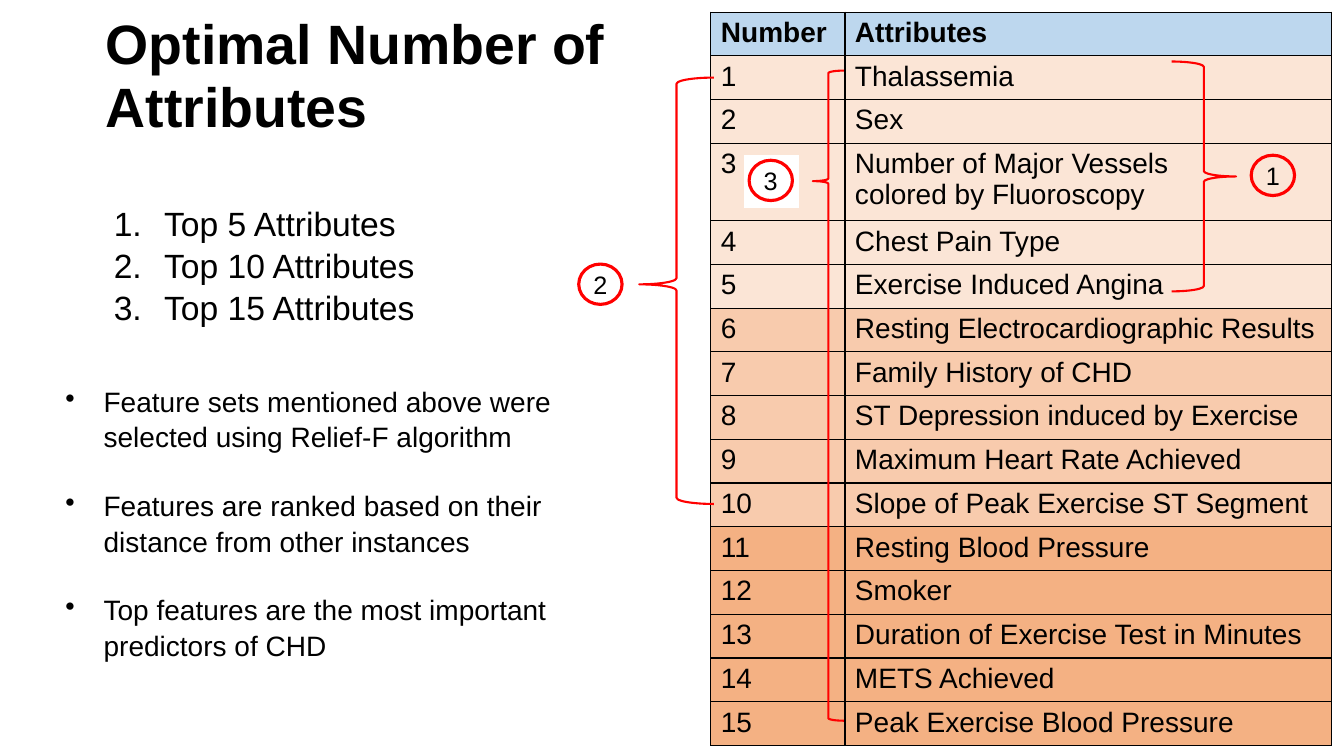
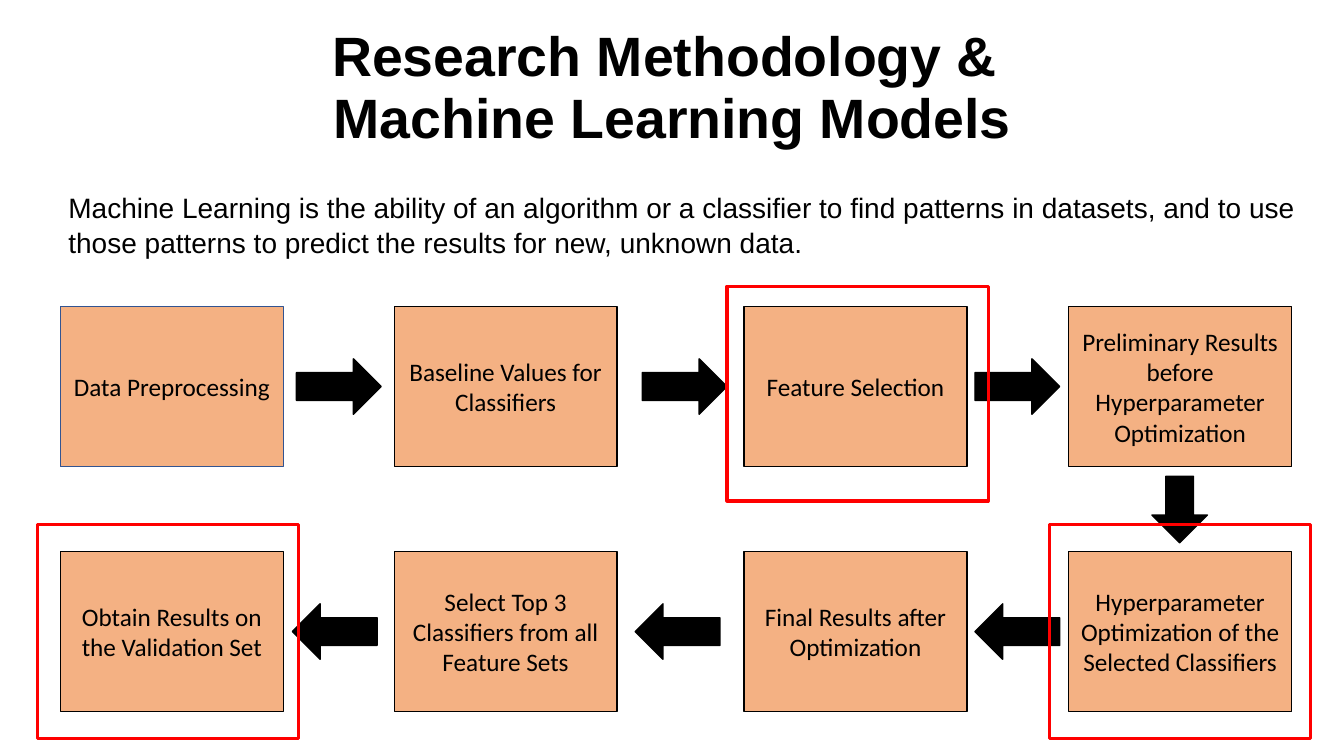
from dataclasses import dataclass
from typing import NamedTuple

from pptx import Presentation
from pptx.dml.color import RGBColor
from pptx.enum import shapes, text
from pptx.oxml import parse_xml
from pptx.oxml.ns import nsdecls
from pptx import util as u


@dataclass(frozen=True)
class Theme:
    black: str = "000000"
    white: str = "FFFFFF"
    red: str = "FF0000"
    blue: str = "325491"
    header: str = "BDD7EE"
    light: str = "FBE5D6"
    middle: str = "F8CBAD"
    strong: str = "F4B183"
    font: str = "Arial"
    flow_font: str = "Calibri"
    title_size: float = 39.6
    list_size: float = 24
    body_size: float = 20
    label_size: float = 18
    title_spacing: float = 0.94
    body_spacing: float = 1.05
    thin: float = 1
    brace: float = 1.5
    thick: float = 2.25


class Box(NamedTuple):
    left: float
    top: float
    width: float
    height: float

    def inner(self, left, top, width, height):
        return Box(self.left + left, self.top + top, width, height)

    def lengths(self):
        return [u.Inches(value) for value in self]


THEME = Theme()
SHAPE = shapes.MSO_SHAPE
LEFT, CENTER = text.PP_ALIGN.LEFT, text.PP_ALIGN.CENTER
MIDDLE = text.MSO_ANCHOR.MIDDLE

ATTRIBUTES = [
    "Thalassemia",
    "Sex",
    "Number of Major Vessels\ncolored by Fluoroscopy",
    "Chest Pain Type",
    "Exercise Induced Angina",
    "Resting Electrocardiographic Results",
    "Family History of CHD",
    "ST Depression induced by Exercise",
    "Maximum Heart Rate Achieved",
    "Slope of Peak Exercise ST Segment",
    "Resting Blood Pressure",
    "Smoker",
    "Duration of Exercise Test in Minutes",
    "METS Achieved",
    "Peak Exercise Blood Pressure",
]
TOP_STEPS = [
    "Data Preprocessing",
    "Baseline Values for Classifiers",
    "Feature Selection",
    "Preliminary Results before Hyperparameter Optimization",
]
BOTTOM_STEPS = [
    "Obtain Results on the Validation Set",
    "Select Top 3 Classifiers from all Feature Sets",
    "Final Results after Optimization",
    "Hyperparameter\nOptimization of the Selected Classifiers",
]


def add_span(para, words, size, font=THEME.font, bold=False):
    span = para.add_run()
    span.text = words
    span.font.name = font
    span.font.size = u.Pt(size)
    span.font.bold = bold
    span.font.color.rgb = RGBColor.from_string(THEME.black)


def write_paras(frame, lines, size, font=THEME.font, bold=False, align=LEFT):
    for index, line in enumerate(lines):
        para = frame.paragraphs[0] if index == 0 else frame.add_paragraph()
        para.alignment = align
        add_span(para, line, size, font, bold)


def add_text_box(page, box):
    frame = page.shapes.add_textbox(*box.lengths()).text_frame
    frame.word_wrap = True
    return frame


def add_title(page, box, lines, align=LEFT):
    frame = add_text_box(page, box)
    frame.vertical_anchor = MIDDLE
    para = frame.paragraphs[0]
    para.alignment = align
    para.line_spacing = THEME.title_spacing
    for index, line in enumerate(lines):
        if index:
            para.add_line_break()
        add_span(para, line, THEME.title_size, bold=True)


def add_body(page, box, lines, size, bullet=None, indent=0, gap=0):
    frame = add_text_box(page, box)
    write_paras(frame, lines, size)
    for index, para in enumerate(frame.paragraphs):
        para.line_spacing = THEME.body_spacing
        if index and gap:
            para.space_before = u.Pt(gap)
        if bullet:
            props = para._p.get_or_add_pPr()
            props.set("marL", str(u.Inches(indent)))
            props.set("indent", str(-u.Inches(indent)))
            props.append(parse_xml(bullet))


def add_outline(page, kind, box, line, width, fill=None, turn=0):
    shape = page.shapes.add_shape(kind, *box.lengths())
    shape.shadow.inherit = False
    shape.rotation = turn
    shape.line.color.rgb = RGBColor.from_string(line)
    shape.line.width = u.Pt(width)
    if fill:
        shape.fill.solid()
        shape.fill.fore_color.rgb = RGBColor.from_string(fill)
    else:
        shape.fill.background()
    return shape


def add_brace(page, kind, box, turn=0, tip=0.5):
    brace = add_outline(page, kind, box, THEME.red, THEME.brace, turn=turn)
    brace.adjustments[0] = 0.083
    brace.adjustments[1] = tip


def add_badge(page, box, label):
    badge = add_outline(page, SHAPE.OVAL, box, THEME.red, THEME.thick)
    frame = badge.text_frame
    frame.margin_left = frame.margin_right = 0
    frame.margin_top = frame.margin_bottom = 0
    frame.vertical_anchor = MIDDLE
    write_paras(frame, [label], THEME.label_size, align=CENTER)


def style_cell(cell, words, fill, bold):
    props = cell._tc.get_or_add_tcPr()
    for side in ("lnL", "lnR", "lnT", "lnB"):
        props.append(parse_xml(
            f'<a:{side} {nsdecls("a")} w="{u.Pt(THEME.thin)}"><a:solidFill>'
            f'<a:srgbClr val="{THEME.black}"/></a:solidFill></a:{side}>'))
    cell.fill.solid()
    cell.fill.fore_color.rgb = RGBColor.from_string(fill)
    write_paras(cell.text_frame, words.split("\n"), THEME.body_size, bold=bold)


def add_attribute_table(page, box):
    rows = [("Number", "Attributes")]
    rows += [(str(rank), name) for rank, name in enumerate(ATTRIBUTES, 1)]
    table = page.shapes.add_table(len(rows), 2, *box.lengths()).table
    for column, width in zip(table.columns, (1.33, 4.83)):
        column.width = u.Inches(width)
    bands = (THEME.light, THEME.middle, THEME.strong)
    for index, row in enumerate(rows):
        table.rows[index].height = u.Inches(0.41)
        fill = bands[(index - 1) // 5] if index else THEME.header
        for column, words in enumerate(row):
            style_cell(table.cell(index, column), words, fill, index == 0)


def add_feature_sets(page, box):
    add_brace(page, SHAPE.LEFT_BRACE, box.inner(-0.71, 0.65, 0.74, 4.23), tip=0.485)
    add_brace(page, SHAPE.LEFT_BRACE, box.inner(4.57, 0.49, 0.64, 2.28), turn=180)
    add_brace(page, SHAPE.RIGHT_BRACE, box.inner(1.01, 0.58, 0.31, 6.45),
              turn=180, tip=0.83)
    add_outline(page, SHAPE.RECTANGLE, box.inner(0.32, 1.41, 0.56, 0.54),
                THEME.light, THEME.thin, THEME.white)
    badges = [("1", 5.36, 1.42), ("2", -1.31, 2.5), ("3", 0.38, 1.47)]
    for label, left, top in badges:
        add_badge(page, box.inner(left, top, 0.43, 0.4), label)


def add_arrow(page, box, turn=0):
    add_outline(page, SHAPE.RIGHT_ARROW, box, THEME.black, THEME.thin,
                THEME.black, turn)


def add_step(page, box, words, line):
    step = add_outline(page, SHAPE.FLOWCHART_PROCESS, box, line, THEME.thin,
                       THEME.strong)
    step.text_frame.word_wrap = True
    step.text_frame.vertical_anchor = MIDDLE
    write_paras(step.text_frame, words.split("\n"), THEME.label_size,
                THEME.flow_font, align=CENTER)


def add_workflow(page, box):
    columns = (0, 3.31, 6.78, 10)
    flows = [
        (0, TOP_STEPS, (2.34, 5.77, 9.07), 0),
        (2.43, BOTTOM_STEPS, (2.3, 5.7, 9.07), 180),
    ]
    for top, steps, arrows, turn in flows:
        for left, words in zip(columns, steps):
            line = THEME.blue if words == TOP_STEPS[0] else THEME.black
            add_step(page, box.inner(left, top, 2.21, 1.59), words, line)
        for left in arrows:
            add_arrow(page, box.inner(left, top + 0.52, 0.84, 0.55), turn)
    add_arrow(page, box.inner(10.77, 1.74, 0.66, 0.55), 90)
    for left, top in [(6.61, -0.2), (9.81, 2.16), (-0.23, 2.16)]:
        add_outline(page, SHAPE.FLOWCHART_PROCESS,
                    box.inner(left, top, 2.59, 2.13), THEME.red, THEME.thick)


def build_attributes_page(page):
    add_title(page, Box(0.95, 0.22, 5.17, 1.09), ["Optimal Number of Attributes"])
    table_box = Box(7.05, 0.12, 6.16, 6.56)
    add_attribute_table(page, table_box)
    add_feature_sets(page, table_box)
    add_body(page, Box(1.03, 1.94, 4.29, 1.31),
             [f"Top {count} Attributes" for count in (5, 10, 15)],
             THEME.list_size, indent=0.5,
             bullet=f'<a:buAutoNum {nsdecls("a")} type="arabicPeriod"/>')
    add_body(page, Box(0.55, 3.75, 5.57, 3.13), [
        "Feature sets mentioned above were selected using Relief-F algorithm",
        "Features are ranked based on their distance from other instances",
        "Top features are the most important predictors of CHD",
    ], THEME.body_size, indent=0.38, gap=24,
        bullet=f'<a:buChar {nsdecls("a")} char="•"/>')


def build_methodology_page(page):
    add_title(page, Box(0.92, 0.22, 11.5, 1.32),
              ["Research Methodology & ", "Machine Learning Models"], CENTER)
    add_body(page, Box(0.58, 1.82, 12.4, 0.77), [
        "Machine Learning is the ability of an algorithm or a classifier to find "
        "patterns in datasets, and to use those patterns to predict the results "
        "for new, unknown data."], THEME.body_size)
    add_workflow(page, Box(0.6, 3.04, 12.21, 4.02))


def main():
    deck = Presentation()
    deck.slide_width, deck.slide_height = u.Inches(13.33), u.Inches(7.5)
    for build in (build_attributes_page, build_methodology_page):
        build(deck.slides.add_slide(deck.slide_layouts[6]))
    deck.save("out.pptx")


if __name__ == "__main__":
    main()
